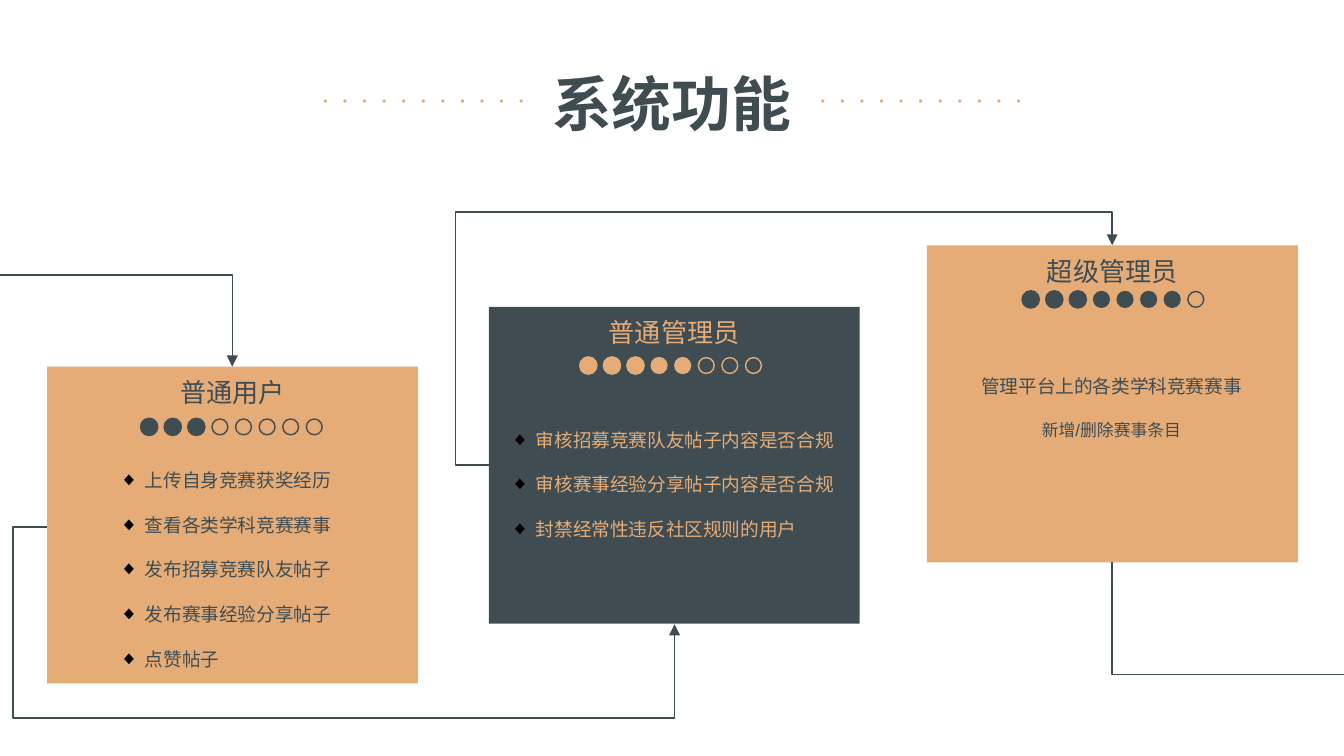
"""Build the slide of system functions by user role."""
from dataclasses import dataclass

import lxml.etree
import pptx
import pptx.dml.color
import pptx.enum.shapes
import pptx.enum.text
import pptx.oxml.ns
import pptx.shapes.shapetree
import pptx.util

Cm = pptx.util.Cm
Pt = pptx.util.Pt
Kind = pptx.enum.shapes.MSO_SHAPE
Align = pptx.enum.text.PP_ALIGN
Tree = pptx.shapes.shapetree.SlideShapes
Box = tuple[float, float, float, float]
Point = tuple[float, float]

COLORS = {"slate": "3F4D53", "sand": "E5AC77", "black": "000000"}
WIDE, HIGH = 7.01, 5.99


@dataclass
class Line:
    text: str
    size: float
    color: str
    bold: bool = False
    after: float = 0
    bullet: bool = False


@dataclass
class Card:
    left: float
    top: float
    fill: str
    ink: str
    title: str
    level: int
    meter: Point
    body: Box
    lines: list[tuple[str, float]]
    bullet: bool = True


@dataclass
class Route:
    start: Point
    end: Point
    bends: tuple[float, ...] = ()
    arrow: bool = True


CARDS = [
    Card(0.89, 6.93, "sand", "slate", "普通用户", 3, (2.67, 7.92),
         (2.01, 8.61, 4.78, 4.19),
         [("上传自身竞赛获奖经历", 10), ("查看各类学科竞赛赛事", 10),
          ("发布招募竞赛队友帖子", 10), ("发布赛事经验分享帖子", 10),
          ("点赞帖子", 10)]),
    Card(9.24, 5.8, "slate", "sand", "普通管理员", 5, (10.97, 6.76),
         (9.4, 7.85, 6.65, 2.67),
         [("审核招募竞赛队友帖子内容是否合规", 10),
          ("审核赛事经验分享帖子内容是否合规", 10),
          ("封禁经常性违反社区规则的用户", 10)]),
    Card(17.52, 4.64, "sand", "slate", "超级管理员", 7, (19.33, 5.51),
         (17.55, 6.83, 6.91, 2.01),
         [("管理平台上的各类学科竞赛赛事", 10), ("新增/删除赛事条目", 9)], False),
]

ROUTES = [
    Route((0.89, 9.96), (12.75, 11.8), (-0.054, 1.962)),
    Route((9.24, 8.79), (21.02, 4.64), (-0.054, 1.153)),
    Route((29.59, 12.75), (21.02, 10.63), arrow=False),
    Route((-2.62, 5.2), (4.39, 6.93)),
]


def tint(name: str) -> pptx.dml.color.RGBColor:
    """Return a named colour."""
    return pptx.dml.color.RGBColor.from_string(COLORS[name])


def add(parent, tag: str, **attrs: str):
    """Append a drawing element to a parent."""
    return lxml.etree.SubElement(parent, pptx.oxml.ns.qn(tag), attrs)


def draw_shape(tree: Tree, kind: Kind, box: Box, fill: str | None,
               edge: str | None = None, width: float = 0.75) -> None:
    """Draw a flat shape with optional fill and edge."""
    shape = tree.add_shape(kind, *map(Cm, box))
    shape.shadow.inherit = False
    if fill:
        shape.fill.solid()
        shape.fill.fore_color.rgb = tint(fill)
    else:
        shape.fill.background()
    if edge:
        shape.line.color.rgb = tint(edge)
        shape.line.width = Pt(width)
    else:
        shape.line.fill.background()


def draw_text(tree: Tree, box: Box, lines: list[Line], middle: bool = False) -> None:
    """Draw a text box of bulleted or centred lines."""
    frame = tree.add_textbox(*map(Cm, box)).text_frame
    frame.word_wrap = True
    frame.margin_left = frame.margin_right = Cm(0.25)
    frame.margin_top = frame.margin_bottom = Cm(0.25)
    anchor = pptx.enum.text.MSO_ANCHOR
    frame.vertical_anchor = anchor.MIDDLE if middle else anchor.TOP
    for rank, line in enumerate(lines):
        para = frame.add_paragraph() if rank else frame.paragraphs[0]
        para.text = line.text
        para.alignment = Align.LEFT if line.bullet else Align.CENTER
        if line.bullet:
            props = para._p.get_or_add_pPr()
            props.set("marL", str(Cm(0.48)))
            props.set("indent", str(-Cm(0.48)))
            add(add(props, "a:buClr"), "a:srgbClr", val=COLORS["black"])
            add(props, "a:buFont", typeface="Arial")
            add(props, "a:buChar", char="◆")
        para.space_after = Pt(line.after)
        para.font.name = "Arial"
        para.font.size = Pt(line.size)
        para.font.bold = line.bold
        para.font.color.rgb = tint(line.color)


def draw_dots(tree: Tree, left: float) -> None:
    """Draw a dotted rule beside the title."""
    group = tree.add_group_shape().shapes
    for rank in range(11):
        draw_shape(group, Kind.OVAL, (left + rank * 0.37, 1.88, 0.06, 0.06), "sand")


def draw_meter(tree: Tree, card: Card) -> None:
    """Draw the eight-step level meter of a card."""
    group = tree.add_group_shape().shapes
    left, top = card.meter
    for rank in range(8):
        fill = card.ink if rank < card.level else None
        width = 1.5 if rank < 3 else 0.75
        box = (left + rank * 3.12 / 7, top, 0.3, 0.3)
        draw_shape(group, Kind.OVAL, box, fill, card.ink, width)


def draw_route(tree: Tree, route: Route) -> None:
    """Draw a bent connector."""
    elbow = pptx.enum.shapes.MSO_CONNECTOR.ELBOW
    line = tree.add_connector(elbow, *map(Cm, route.start + route.end))
    line.line.color.rgb = tint("slate")
    line.line.width = Pt(0.75)
    props = line._element.spPr
    shape = props.find(pptx.oxml.ns.qn("a:prstGeom"))
    shape.set("prst", "bentConnector4" if route.bends else "bentConnector2")
    guides = shape.find(pptx.oxml.ns.qn("a:avLst"))
    for rank, bend in enumerate(route.bends, 1):
        add(guides, "a:gd", name=f"adj{rank}", fmla=f"val {round(bend * 100000)}")
    if route.arrow:
        add(props.find(pptx.oxml.ns.qn("a:ln")), "a:tailEnd", type="triangle")
    add(props, "a:effectLst")


def draw_copy(tree: Tree, card: Card) -> None:
    """Draw the heading, body and meter of a card."""
    head = (card.left + (WIDE - 3.86) / 2, card.top, 3.86, 0.97)
    draw_text(tree, head, [Line(card.title, 14, card.ink)], True)
    lines = [Line(text, size, card.ink, after=12, bullet=card.bullet)
             for text, size in card.lines]
    draw_text(tree, card.body, lines)
    draw_meter(tree, card)


def main() -> None:
    """Build and save the deck."""
    deck = pptx.Presentation()
    deck.slide_width, deck.slide_height = Cm(25.4), Cm(14.29)
    tree = deck.slides.add_slide(deck.slide_layouts[6]).shapes
    draw_text(tree, (4.72, 1.02, 15.95, 1.75), [Line("系统功能", 32, "slate", True)])
    for left in (15.52, 6.12):
        draw_dots(tree, left)
    for card in CARDS:
        draw_shape(tree, Kind.RECTANGLE, (card.left, card.top, WIDE, HIGH), card.fill)
    for route in ROUTES:
        draw_route(tree, route)
    for card in CARDS:
        draw_copy(tree, card)
    deck.save("out.pptx")


if __name__ == "__main__":
    main()
